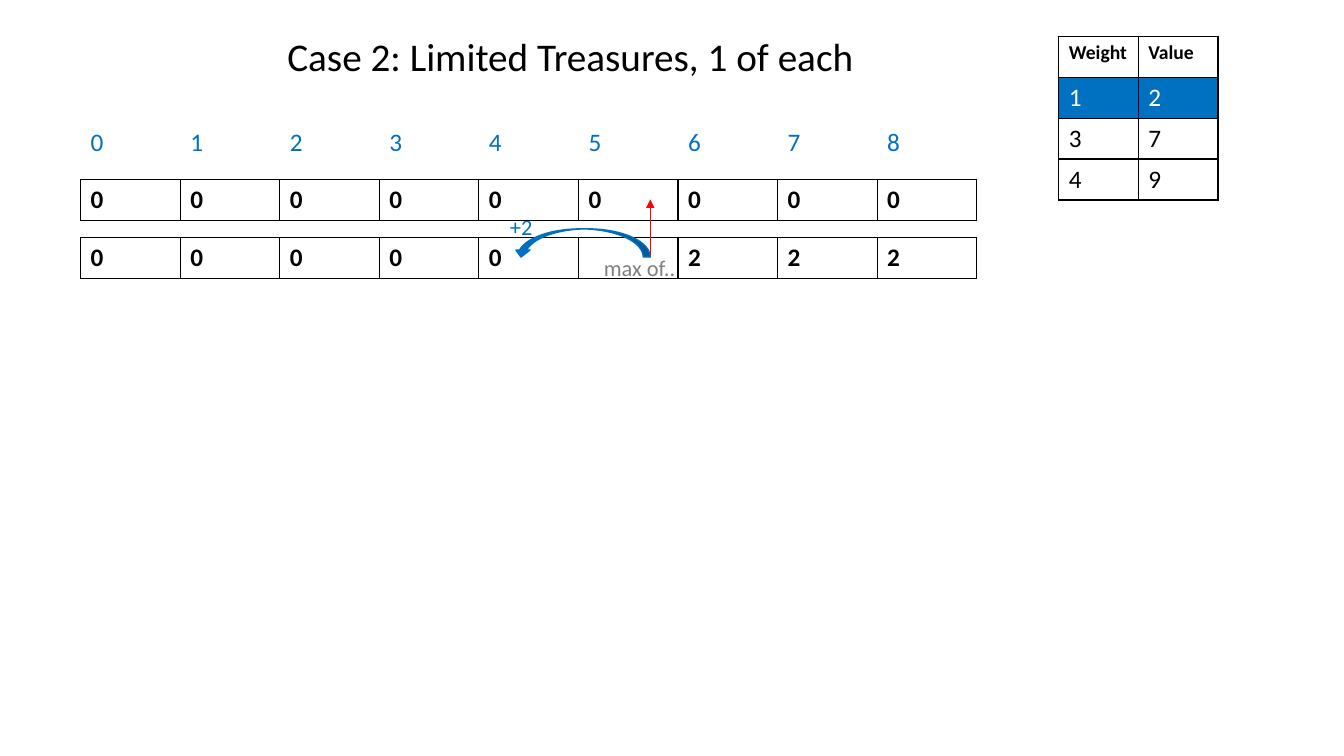
from lxml import etree
from pptx import Presentation
from pptx.dml.color import RGBColor
from pptx.enum import shapes, text
from pptx.oxml.ns import qn
from pptx.util import Inches, Pt

# Content
TITLE = "Case 2: Limited Treasures, 1 of each"
CAPACITIES = [str(n) for n in range(9)]
BEFORE = ["0"] * 9
AFTER = ["0"] * 5 + [""] + ["2"] * 3
TREASURES = [("Weight", "Value"), ("1", "2"), ("3", "7"), ("4", "9")]
CURRENT_TREASURE = 1
GAIN = "+2"
CHOICE = "max of.."

# Style
FONT = "Calibri"
BLACK = RGBColor(0x00, 0x00, 0x00)
WHITE = RGBColor(0xFF, 0xFF, 0xFF)
BLUE = RGBColor(0x00, 0x70, 0xC0)
RED = RGBColor(0xFF, 0x00, 0x00)
GRAY = RGBColor(0x80, 0x80, 0x80)
NO_STYLE = "{2D5ABB26-0587-4C30-8999-92F81FD0307C}"

# Grid, in inches
LEFT, ROW = 0.8, 0.406
COLUMN = 8.89 / 9
INDEX_TOP, BEFORE_TOP, AFTER_TOP = 1.21, 1.78, 2.36
SOURCE_X = LEFT + 5.72 * COLUMN
TARGET_X = LEFT + 4.35 * COLUMN


def style_text(frame, size, color, bold=False):
    for paragraph in frame.paragraphs:
        for run in paragraph.runs:
            run.font.name, run.font.size = FONT, Pt(size)
            run.font.color.rgb, run.font.bold = color, bold


def add_borders(cell):
    properties = cell._tc.get_or_add_tcPr()
    for position, side in enumerate(("lnL", "lnR", "lnT", "lnB")):
        line = etree.Element(qn(f"a:{side}"), w=str(Pt(1)))
        fill = etree.SubElement(line, qn("a:solidFill"))
        etree.SubElement(fill, qn("a:srgbClr"), val=str(BLACK))
        properties.insert(position, line)


def add_grid(slide, rows, left, top, column, color=BLACK, bold=False, bordered=True):
    count = len(rows[0])
    grid = slide.shapes.add_table(
        len(rows), count, Inches(left), Inches(top),
        Inches(column * count), Inches(ROW * len(rows))).table
    grid.first_row = grid.horz_banding = False
    grid._tbl.tblPr.find(qn("a:tableStyleId")).text = NO_STYLE
    for r, row in enumerate(rows):
        for c, value in enumerate(row):
            cell = grid.cell(r, c)
            cell.text_frame.text = value
            style_text(cell.text_frame, 18, color, bold)
            cell.fill.background()
            if bordered:
                add_borders(cell)
    return grid


def add_label(slide, words, left, top, width, color):
    label = slide.shapes.add_textbox(
        Inches(left), Inches(top), Inches(width), Inches(0.37)).text_frame
    label.text = words
    label.word_wrap = False
    style_text(label, 16, color)


def main():
    deck = Presentation()
    deck.slide_width, deck.slide_height = Inches(13.33), Inches(7.5)
    slide = deck.slides.add_slide(deck.slide_layouts[5])

    # Title
    title = slide.shapes.title
    title.left, title.top = Inches(2.75), Inches(0.27)
    title.width, title.height = Inches(5.88), Inches(0.57)
    title.text_frame.text = TITLE
    title.text_frame.word_wrap = False
    title.text_frame.vertical_anchor = text.MSO_ANCHOR.TOP
    title.text_frame.paragraphs[0].alignment = text.PP_ALIGN.LEFT
    style_text(title.text_frame, 28, BLACK)

    # Row being filled in
    add_grid(slide, [AFTER], LEFT, AFTER_TOP, COLUMN, bold=True)

    # Labels and curved arrow for taking the treasure
    add_label(slide, GAIN, 4.96, 2.07, 0.43, BLUE)
    add_label(slide, CHOICE, 5.89, 2.47, 0.92, GRAY)
    take = slide.shapes.add_shape(
        shapes.MSO_SHAPE.CURVED_UP_ARROW, Inches(TARGET_X), Inches(2.27),
        Inches(SOURCE_X - TARGET_X), Inches(0.28))
    take.rotation = 180
    take.shadow.inherit = False
    take.fill.solid()
    take.fill.fore_color.rgb = take.line.color.rgb = BLUE
    take.line.width = Pt(1)

    # Earlier row and capacity headings
    add_grid(slide, [BEFORE], LEFT, BEFORE_TOP, COLUMN, bold=True)
    add_grid(slide, [CAPACITIES], LEFT, INDEX_TOP, COLUMN, BLUE, bordered=False)

    # Straight arrow for skipping the treasure
    skip = slide.shapes.add_connector(
        shapes.MSO_CONNECTOR.STRAIGHT, Inches(SOURCE_X), Inches(2.53),
        Inches(SOURCE_X), Inches(1.98))
    skip.line.color.rgb, skip.line.width = RED, Pt(1)
    etree.SubElement(skip.line._get_or_add_ln(), qn("a:tailEnd"), type="triangle")
    etree.SubElement(skip._element.spPr, qn("a:effectLst"))

    # Treasure list
    treasures = add_grid(slide, TREASURES, 10.5, 0.36, 0.79)
    for c in range(len(TREASURES[0])):
        style_text(treasures.cell(0, c).text_frame, 14, BLACK, True)
        current = treasures.cell(CURRENT_TREASURE, c)
        current.fill.solid()
        current.fill.fore_color.rgb = BLUE
        style_text(current.text_frame, 18, WHITE)

    deck.save("out.pptx")


if __name__ == "__main__":
    main()
